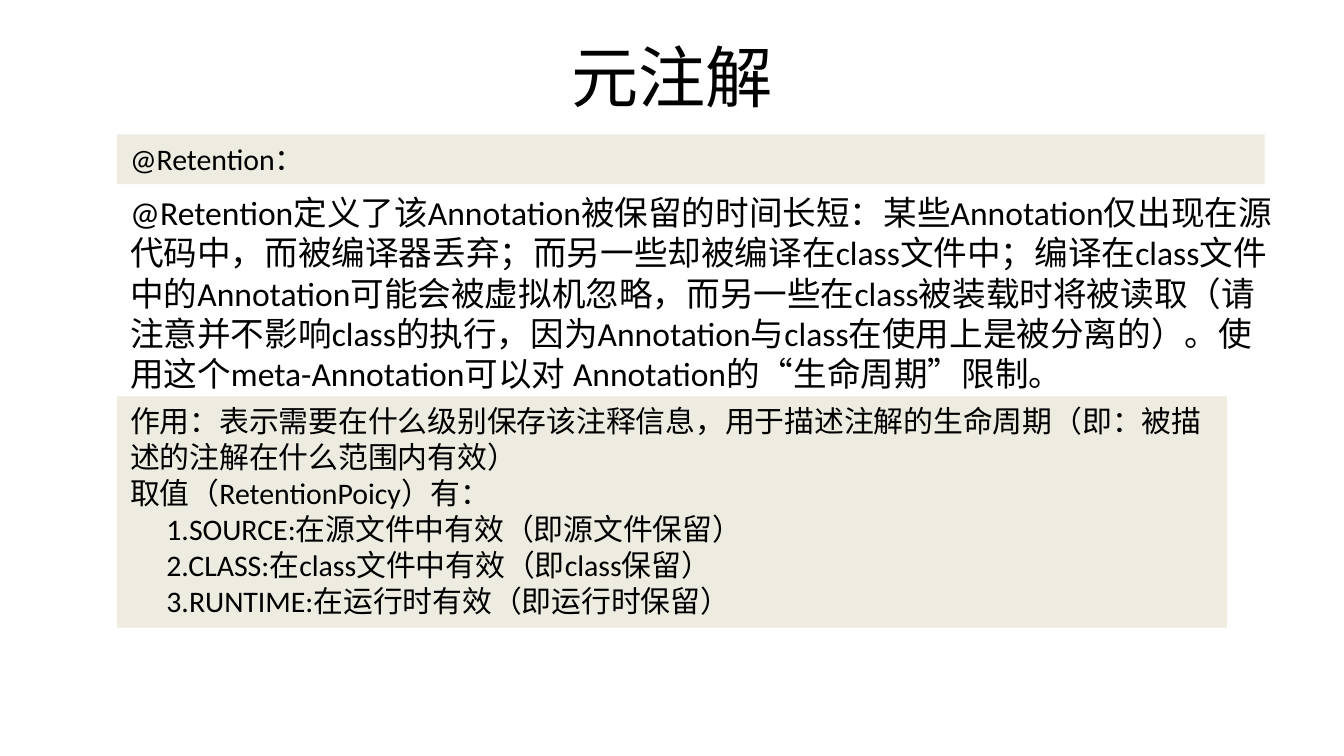
"""Builds the slide on the @Retention meta-annotation."""
from dataclasses import dataclass

from pptx import Presentation
from pptx import util as u
from pptx.dml.color import RGBColor
from pptx.enum import shapes, text

WIDTH = u.Inches(10)
HEIGHT = WIDTH * 9 // 16
COLUMNS = 1000
CELL = WIDTH // COLUMNS


@dataclass(frozen=True)
class Theme:
    """Colours, font and type sizes of the slide."""
    ink: RGBColor = RGBColor(0, 0, 0)
    panel: RGBColor = RGBColor(0xEE, 0xEC, 0xE1)
    font: str = "Calibri"
    title: int = 36
    body: int = 18
    note: int = 16
    indent: float = 0.27


THEME = Theme()
LEFT = 87
HEADING = "@Retention："
EXPLANATION = (
    "@Retention定义了该Annotation被保留的时间长短：某些Annotation仅出现在源代码中，"
    "而被编译器丢弃；而另一些却被编译在class文件中；编译在class文件中的Annotation"
    "可能会被虚拟机忽略，而另一些在class被装载时将被读取（请注意并不影响class的执行，"
    "因为Annotation与class在使用上是被分离的）。使用这个meta-Annotation可以对 "
    "Annotation的“生命周期”限制。"
)
PURPOSE = [
    "作用：表示需要在什么级别保存该注释信息，用于描述注解的生命周期（即：被描述的注解在什么范围内有效）",
    "取值（RetentionPoicy）有：",
]
POLICIES = [
    "1.SOURCE:在源文件中有效（即源文件保留）",
    "2.CLASS:在class文件中有效（即class保留）",
    "3.RUNTIME:在运行时有效（即运行时保留）",
]


def grid(column, row, columns, rows):
    """Turns square grid cells into left, top, width and height."""
    return tuple(CELL * cells for cells in (column, row, columns, rows))


def write(frame, lines, size, align=text.PP_ALIGN.LEFT,
          anchor=text.MSO_ANCHOR.TOP):
    """Fills a text frame with one paragraph per line in the theme's type."""
    frame.text = "\n".join(lines)
    frame.word_wrap = True
    frame.vertical_anchor = anchor
    for paragraph in frame.paragraphs:
        paragraph.alignment = align
        for run in paragraph.runs:
            run.font.name = THEME.font
            run.font.size = u.Pt(size)
            run.font.color.rgb = THEME.ink


def place_title(slide, box, title):
    """Moves the title placeholder to the box and centres its text."""
    holder = slide.shapes.title
    holder.left, holder.top, holder.width, holder.height = box
    write(holder.text_frame, [title], THEME.title, text.PP_ALIGN.CENTER,
          text.MSO_ANCHOR.MIDDLE)


def place_explanation(slide, box, explanation):
    """Puts the plain explanation into the box."""
    write(slide.shapes.add_textbox(*box).text_frame, [explanation], THEME.body)


def place_panel(slide, box, lines, items=()):
    """Draws a tinted panel with lines followed by indented items."""
    panel = slide.shapes.add_shape(shapes.MSO_SHAPE.RECTANGLE, *box)
    panel.shadow.inherit = False
    panel.fill.solid()
    panel.fill.fore_color.rgb = THEME.panel
    panel.line.fill.background()
    write(panel.text_frame, [*lines, *items], THEME.note)
    for paragraph in panel.text_frame.paragraphs[len(lines):]:
        properties = paragraph._p.get_or_add_pPr()
        properties.set("marL", str(u.Inches(THEME.indent)))
        properties.set("indent", "0")


def main():
    """Builds and saves the slide."""
    deck = Presentation()
    deck.slide_width, deck.slide_height = WIDTH, HEIGHT
    slide = deck.slides.add_slide(deck.slide_layouts[5])
    place_title(slide, grid(50, 9, 900, 94), "元注解")
    place_explanation(slide, grid(LEFT, 138, 871, 76), EXPLANATION)
    place_panel(slide, grid(LEFT, 295, 826, 172), PURPOSE, POLICIES)
    place_panel(slide, grid(LEFT, 100, 854, 37), [HEADING])
    deck.save("out.pptx")


if __name__ == "__main__":
    main()
